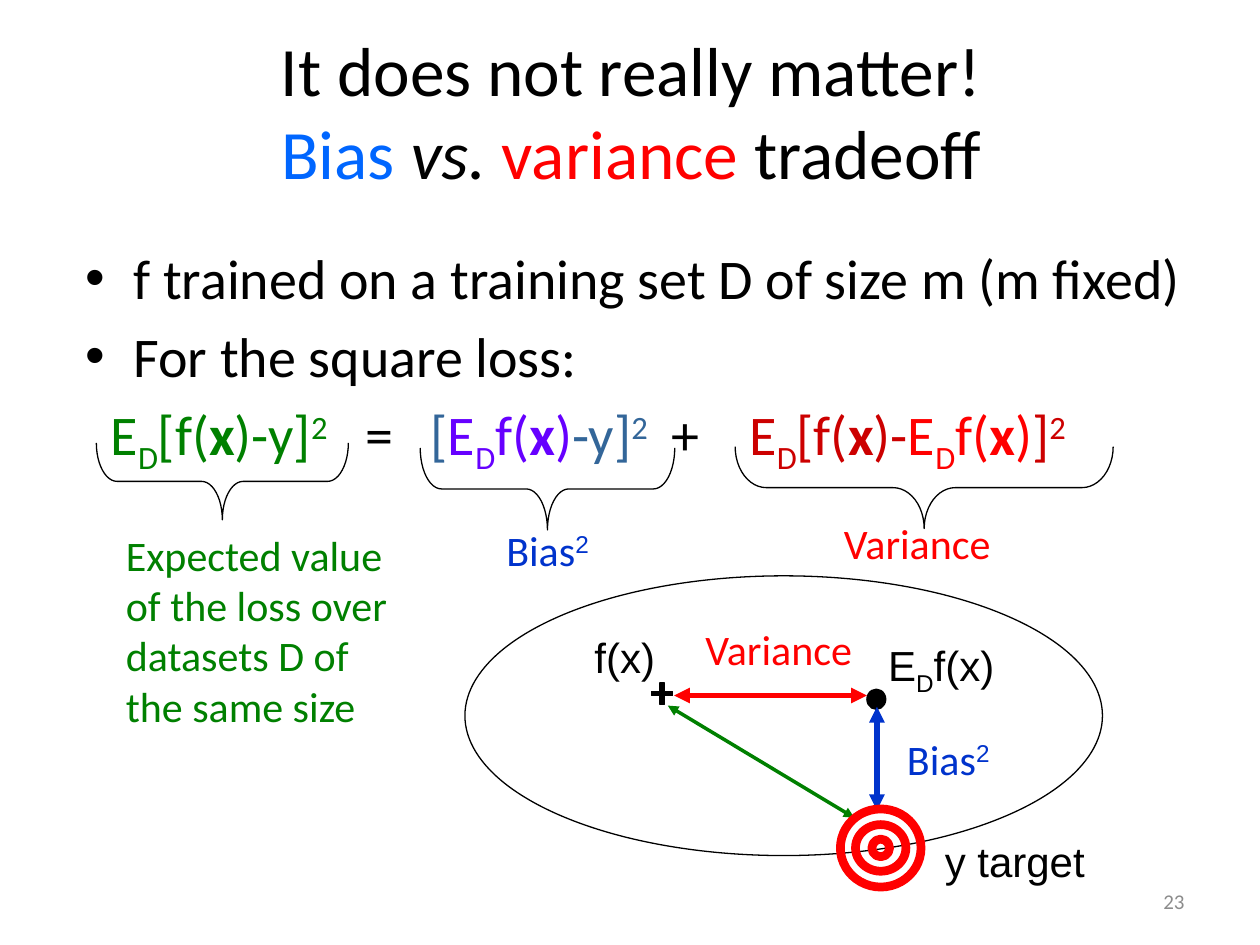
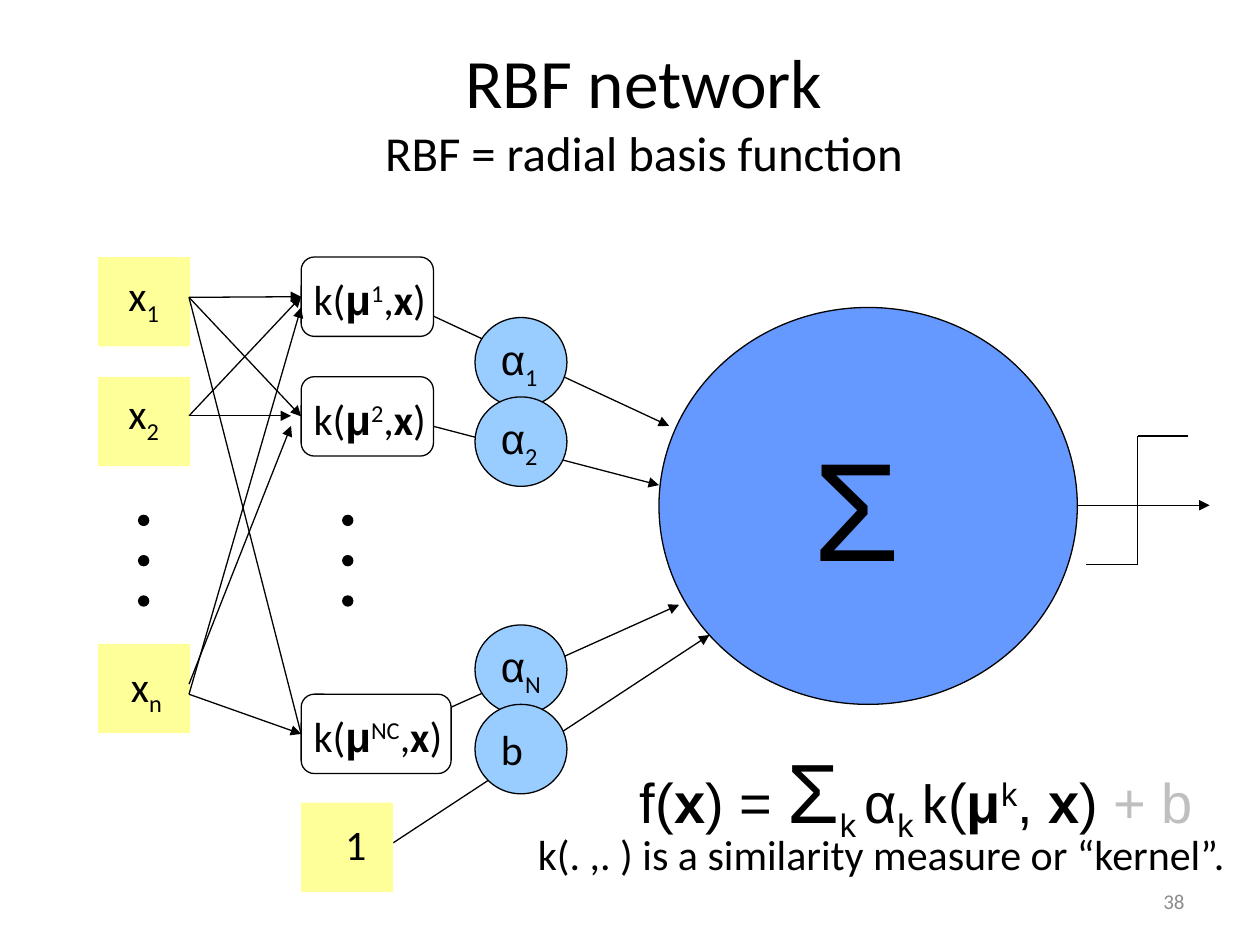
import copy

import pptx
import pptx.dml.color
import pptx.enum.shapes
import pptx.enum.text
import pptx.oxml
import pptx.oxml.ns
import pptx.util
from lxml import etree

Inches = pptx.util.Inches
Pt = pptx.util.Pt
SHAPE = pptx.enum.shapes.MSO_SHAPE
ANCHOR = pptx.enum.text.MSO_ANCHOR
ALIGN = pptx.enum.text.PP_ALIGN
AUTO_SIZE = pptx.enum.text.MSO_AUTO_SIZE
STRAIGHT = pptx.enum.shapes.MSO_CONNECTOR.STRAIGHT

# Shared colours and run formats
BLACK, WHITE, GREY = "000000", "FFFFFF", "8C8C8C"
GREEN, RED, BLUE = "008000", "FF0000", "0033CC"
DARK_RED, STEEL, VIOLET = "CC0000", "336699", "6600FF"
YELLOW, SKY, CORNFLOWER = "FFFF99", "99CCFF", "6699FF"
SUB, SUP, BOLD = {"baseline": -25}, {"baseline": 30}, {"bold": True}
ARIAL, CALIBRI = {"name": "Arial"}, {"name": "Calibri"}
LEFT_SIDE = 1


def rgb(value):
    return pptx.dml.color.RGBColor.from_string(value)


def add_xml(parent, tag, **attributes):
    return etree.SubElement(parent, pptx.oxml.ns.qn(tag), **attributes)


def colored(color, *runs):
    """Give one colour to a series of runs."""
    return [(text, {**style, "color": color}) for text, style in runs]


class Deck:
    def __init__(self):
        self.presentation = pptx.Presentation()
        self.presentation.slide_width = Inches(10)
        self.presentation.slide_height = Inches(7.5)
        self.slide = None

    def place(self, shape, left, top, width, height):
        shape.left, shape.top = Inches(left), Inches(top)
        shape.width, shape.height = Inches(width), Inches(height)

    def add_runs(self, paragraph, runs, **base):
        """Add (text, format) runs; a final line feed makes a line break."""
        runs = [(runs, {})] if isinstance(runs, str) else runs
        for text, style in runs:
            values = {"size": 24, "name": "Calibri", "color": BLACK, **base, **style}
            run = paragraph.add_run()
            run.text = text.rstrip("\n")
            run.font.color.rgb = rgb(values.pop("color"))
            values["size"] = Pt(values["size"])
            baseline = values.pop("baseline", 0)
            for attribute, value in values.items():
                setattr(run.font, attribute, value)
            if baseline:
                run.font._element.set("baseline", str(baseline * 1000))
            if text.endswith("\n"):
                paragraph.add_line_break()
                paragraph._p[-1].append(copy.deepcopy(run._r.rPr))

    def start_slide(self, title_left, title_runs, number):
        self.slide = self.presentation.slides.add_slide(self.presentation.slide_layouts[5])
        title = self.slide.shapes.title
        self.place(title, title_left, 0.25, 8.5, 1.25)
        frame = title.text_frame
        frame.vertical_anchor = ANCHOR.MIDDLE
        frame.paragraphs[0].alignment = ALIGN.CENTER
        self.add_runs(frame.paragraphs[0], title_runs, size=39.6)
        # Slide number
        frame = self.text(7.17, 6.95, 2.33, 0.4, str(number), size=12, color=GREY)
        frame.auto_size = AUTO_SIZE.NONE
        frame.vertical_anchor = ANCHOR.MIDDLE
        frame.paragraphs[0].alignment = ALIGN.RIGHT

    def text(self, left, top, width, height, runs, wrap=True, **base):
        box = self.slide.shapes.add_textbox(
            Inches(left), Inches(top), Inches(width), Inches(height))
        frame = box.text_frame
        frame.word_wrap = wrap
        frame.auto_size = AUTO_SIZE.SHAPE_TO_FIT_TEXT
        self.add_runs(frame.paragraphs[0], runs, **base)
        return frame

    def body(self, left, top, width, height, bullets, formula, tabs):
        """Bulleted lines followed by a formula laid out on tab stops."""
        frame = self.text(left, top, width, height, bullets[0], size=32)
        frame.auto_size = AUTO_SIZE.NONE
        for bullet in bullets[1:]:
            self.add_runs(frame.add_paragraph(), bullet, size=32)
        for paragraph in frame.paragraphs:
            properties = paragraph._p.get_or_add_pPr()
            properties.set("marL", str(Inches(0.38)))
            properties.set("indent", str(-Inches(0.38)))
            add_xml(properties, "a:buFont", typeface="Arial")
            add_xml(properties, "a:buChar", char="•")
        paragraph = frame.add_paragraph()
        tab_list = add_xml(paragraph._p.get_or_add_pPr(), "a:tabLst")
        for tab in tabs:
            add_xml(tab_list, "a:tab", pos=str(Inches(tab)), algn="l")
        self.add_runs(paragraph, formula, size=32)
        for paragraph in frame.paragraphs[1:]:
            paragraph.space_before = Pt(6.4)

    def shape(self, kind, left, top, width, height, fill=None, line=BLACK,
              weight=0.75, adjustments=(), rotation=0, runs=None):
        shape = self.slide.shapes.add_shape(
            kind, Inches(left), Inches(top), Inches(width), Inches(height))
        shape.shadow.inherit = False
        shape.rotation = rotation
        for index, value in enumerate(adjustments):
            shape.adjustments[index] = value
        if fill:
            shape.fill.solid()
            shape.fill.fore_color.rgb = rgb(fill)
        else:
            shape.fill.background()
        if line:
            shape.line.color.rgb = rgb(line)
            shape.line.width = Pt(weight)
        else:
            shape.line.fill.background()
        if runs:
            shape.text_frame.word_wrap = False
            shape.text_frame.vertical_anchor = ANCHOR.MIDDLE
            shape.text_frame.paragraphs[0].alignment = ALIGN.LEFT
            self.add_runs(shape.text_frame.paragraphs[0], runs)
        return shape

    def line(self, start, end, color=BLACK, weight=0.75, heads=("tailEnd",), target=None):
        """Straight line; a target is joined at the middle of its left side."""
        connector = self.slide.shapes.add_connector(
            STRAIGHT, *(Inches(value) for value in (*start, *end)))
        connector.line.color.rgb = rgb(color)
        connector.line.width = Pt(weight)
        add_xml(connector._element.spPr, "a:effectLst")
        for head in heads:
            add_xml(connector.get_or_add_ln(), "a:" + head, type="triangle")
        if target is not None:
            connector.end_connect(target, LEFT_SIDE)


def build_tradeoff(deck):
    deck.start_slide(0.76, [
        ("It does not really matter!\n", {}), ("Bias ", {"color": "0066FF"}),
        ("vs. ", {"italic": True}), ("variance ", {"color": RED}), ("tradeoff", {})], 23)

    # Statement and loss decomposition
    expectation = [("E", {}), ("D", SUB)]
    f_of_x = [("f(", {}), ("x", BOLD), (")", {})]
    formula = [
        ("\t", {}),
        *colored(GREEN, *expectation, ("[", {}), *f_of_x, ("-y]", {}), ("2", SUP)),
        ("\t=\t", {}),
        *colored(STEEL, ("[", {})),
        *colored(VIOLET, *expectation, *f_of_x),
        *colored(STEEL, ("-y]", {}), ("2", SUP)),
        ("\t+\t", {}),
        *colored(DARK_RED, *expectation, ("[", {}), *f_of_x, ("-", {})),
        *colored(RED, *expectation, *f_of_x),
        *colored(DARK_RED, ("]", {}), ("2", SUP))]
    deck.body(0.58, 1.88, 9.42, 4.99,
              ["f trained on a training set D of size m (m fixed)", "For the square loss:"],
              formula, tabs=(0.2, 2.22, 2.74, 4.65, 5.27))

    # Braces under the three terms
    for left, top, depth, span, curl in ((7.01, 2.37, 0.65, 3, 0.38),
                                         (4.02, 2.87, 0.65, 2.02, 0.26),
                                         (1.46, 2.82, 0.61, 2, 0.27)):
        deck.shape(SHAPE.LEFT_BRACE, left, top, depth, span,
                   adjustments=(curl, 0.5), rotation=270)

    # Diagram: space, mean, estimate
    deck.shape(SHAPE.OVAL, 3.69, 4.57, 5.06, 2.22)
    deck.shape(SHAPE.OVAL, 6.88, 5.47, 0.15, 0.16, fill=BLACK)
    deck.shape(SHAPE.CROSS, 5.17, 5.42, 0.17, 0.17, fill=BLACK, adjustments=(0.4,))

    # Labels
    bias_squared = [("Bias", {}), ("2", {**SUP, **ARIAL})]
    for left, top, width, runs, style in (
            (6.6, 4.06, 1.57, "Variance", {"color": RED}),
            (5.5, 4.9, 1.62, "Variance", {"color": RED}),
            (3.92, 4.11, 1.07, bias_squared, {"color": BLUE}),
            (7.1, 5.77, 2.13, bias_squared, {"color": BLUE}),
            (6.95, 5.03, 1.52, [*expectation, ("f(x)", {})], ARIAL),
            (4.62, 4.96, 1.14, "f(x)", ARIAL),
            (7.4, 6.58, 2.27, "y target", ARIAL)):
        deck.text(left, top, width, 0.5, runs, **style)
    deck.text(0.9, 4.15, 2.38, 1.7,
              "Expected value of the loss over datasets D of the same size", color=GREEN)

    # Double arrows
    for start, end, color, weight in (((5.3, 5.6), (6.78, 6.49), GREEN, 2),
                                      ((5.35, 5.52), (6.88, 5.52), RED, 3),
                                      ((6.96, 5.61), (6.96, 6.43), BLUE, 3)):
        deck.line(start, end, color, weight, heads=("headEnd", "tailEnd"))

    # Target rings around one centre
    for width, height in ((0.64, 0.62), (0.4, 0.37), (0.14, 0.14)):
        deck.shape(SHAPE.OVAL, 6.99 - width / 2, 6.73 - height / 2, width, height,
                   line=RED, weight=5)


def build_network(deck):
    deck.start_slide(0.86, [("RBF network\n", {}),
                            ("RBF = radial basis function", {"size": 27.9})], 38)
    box_width, box_height = 0.73, 0.71

    # Weighted links into the sum, and its output
    for start, end in (((3.12, 2.36), (5.31, 3.38)), ((3.12, 3.3), (5.23, 3.85)),
                       ((3.12, 5.82), (5.39, 4.8)), ((3.12, 6.69), (5.63, 5.04)),
                       ((8.54, 4.01), (9.6, 4.01))):
        deck.line(start, end)

    # Inputs and constant
    for left, top in ((0.78, 2.04), (0.78, 2.99), (0.78, 5.11), (2.39, 6.37)):
        deck.shape(SHAPE.RECTANGLE, left, top, box_width, box_height, fill=YELLOW, line=None)
    for left, top, index in ((0.92, 2.09, "1"), (0.92, 3.03, "2"), (0.94, 5.19, "n")):
        deck.text(left, top, 0.48, 0.5, [("x", {}), (index, SUB)], wrap=False)
    deck.text(2.64, 6.45, 0.4, 0.5, "1")

    # Kernels
    kernels = []
    for top, width, index in ((2.04, 1.05, "1"), (2.99, 1.05, "2"), (5.51, 1.19, "NC")):
        kernels.append(deck.shape(SHAPE.ROUNDED_RECTANGLE, 2.39, top, width, 0.63,
                                  fill=WHITE))
        deck.text(2.39, top + 0.08, width + 0.05, 0.51,
                  [("k(", {}), ("μ", {**BOLD, **ARIAL}), (index, SUP), (",", {}),
                   ("x", BOLD), (")", {})], wrap=False)

    # Dots for the omitted inputs and kernels
    for left in (1.1, 2.72):
        for row in range(3):
            deck.shape(SHAPE.OVAL, left, 4.09 + 0.32 * row, 0.08, 0.08, fill=BLACK)

    # Links from inputs to kernels
    first, second, last = kernels
    for start_y, kernel in ((3.3, first), (2.36, first), (2.36, second), (5.51, last)):
        deck.line((1.5, start_y), (2.39, start_y), target=kernel)
    deck.line((1.5, 2.36), (2.39, 5.82), heads=(), target=last)
    for start_y, end in ((5.51, (2.39, 2.44)), (3.3, (2.31, 3.3)), (5.43, (2.31, 3.38))):
        deck.line((1.5, start_y), end)

    # Sum
    deck.shape(SHAPE.OVAL, 5.23, 2.44, 3.32, 3.15, fill=CORNFLOWER)
    deck.text(6.36, 3.3, 1.38, 1.43, "Σ", size=80, **ARIAL)

    # Weights
    weights = [(top, [("α", ARIAL), (index, SUB)])
               for top, index in ((2.52, "1"), (3.15, "2"), (4.96, "N"))]
    for top, runs in [*weights, (5.59, "b")]:
        deck.shape(SHAPE.OVAL, 3.77, top, box_width, box_height, fill=SKY, runs=runs)

    # Step function
    corners = ((8.62, 4.48), (9.03, 4.48), (9.03, 3.46), (9.43, 3.46))
    for start, end in zip(corners, corners[1:]):
        deck.line(start, end, heads=())

    # Formula and remark
    deck.text(4.98, 5.82, 4.92, 0.91, [
        ("f(", {}), ("x", BOLD), (") = ", {}), ("Σ", {"size": 48}), ("k ", SUB),
        ("α", {}), ("k ", SUB), ("k", CALIBRI), ("(", {}), ("μ", BOLD), ("k", SUP),
        (", ", {}), ("x", BOLD), (") ", {}), ("+ b", {"color": "BFBFBF"})],
        wrap=False, size=32, **ARIAL)
    deck.text(4.17, 6.53, 5.83, 0.5, "k(. ,. ) is a similarity measure or “kernel”.")


def main():
    deck = Deck()
    build_tradeoff(deck)
    build_network(deck)
    deck.presentation.save("out.pptx")


if __name__ == "__main__":
    main()
